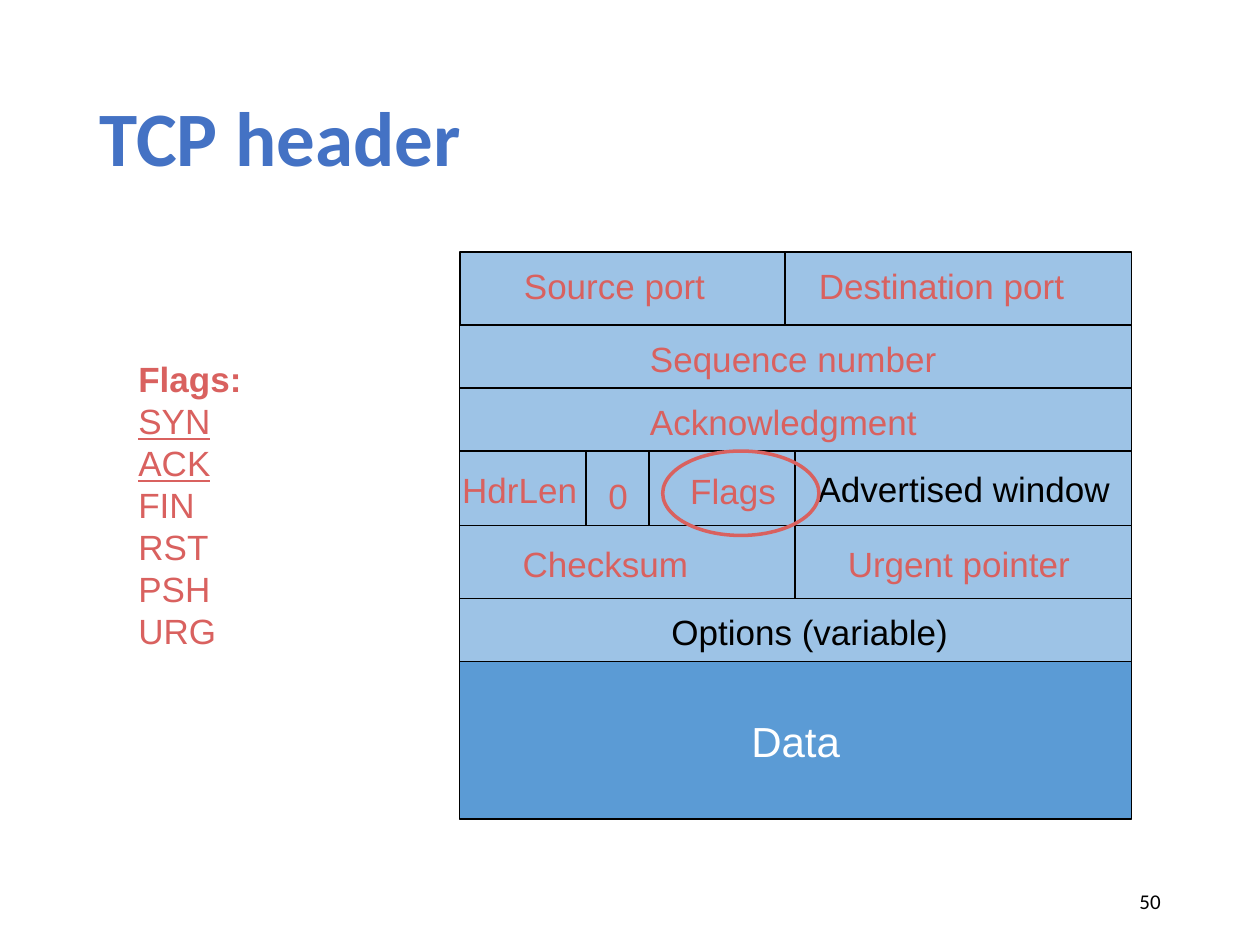
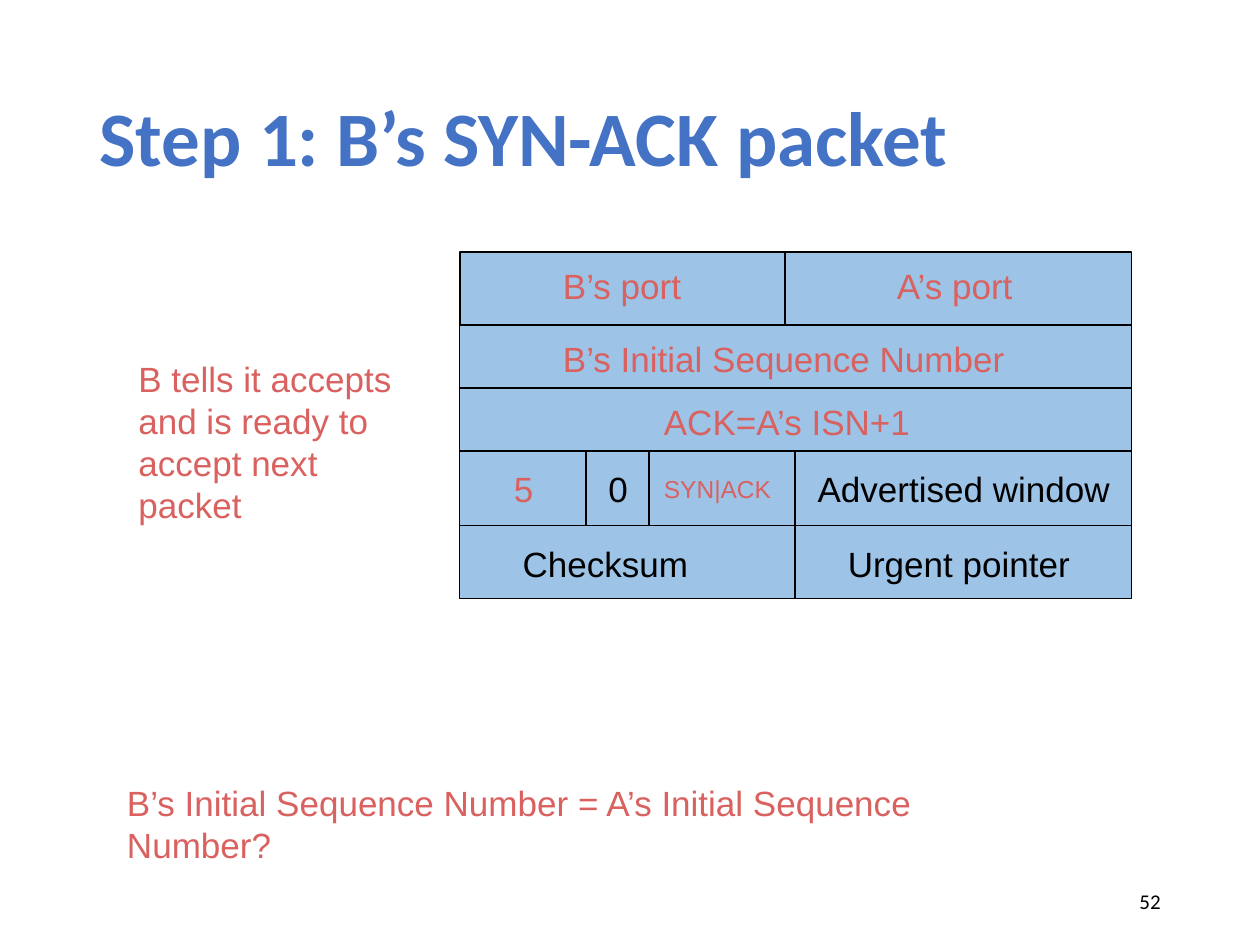
from pptx import Presentation
from pptx.dml.color import RGBColor
from pptx.enum import shapes, text
from pptx.oxml import parse_xml
from pptx.oxml.ns import nsdecls
from pptx.util import Inches, Pt

HUES = {"title": "4472C4", "cell": "9DC3E6", "data": "5B9BD5",
        "red": "D9615F", "black": "000000", "white": "FFFFFF"}

# Header grid: row edges, and where each row is split (None = full width)
LEFT, RIGHT = 3.65, 8.98
EDGES = [2, 2.58, 3.08, 3.58, 4.17, 4.75, 5.25]
SPLITS = [6.23, None, None, 6.31, 6.31, None]
TICKS = [4.65, 5.15]


def hue(name):
    return RGBColor.from_string(HUES[name])


def write(frame, words, size=20, color="red", face="Arial", bold=False,
          under=False, align="LEFT", gap=None):
    """Fill the frame's empty first paragraph, or add another one."""
    para = frame.paragraphs[0]
    if para.runs:
        para = frame.add_paragraph()
    para.alignment = getattr(text.PP_ALIGN, align)
    para.line_spacing = gap
    run = para.add_run()
    run.text = words
    font = run.font
    font.size, font.name, font.bold = Pt(size), face, bold
    font.underline = under
    font.color.rgb = hue(color)


def place(slide, x, y, w, h, middle=False):
    """Add an empty text box and return its frame."""
    frame = slide.shapes.add_textbox(*map(Inches, (x, y, w, h))).text_frame
    frame.word_wrap = True
    if middle:
        frame.vertical_anchor = text.MSO_ANCHOR.MIDDLE
    return frame


def label(slide, words, x, y, w, h=0.43, **fmt):
    write(place(slide, x, y, w, h), words, **fmt)


def shape(slide, kind, x, y, w, h, fill=None, line="black", width=0.75):
    item = slide.shapes.add_shape(kind, *map(Inches, (x, y, w, h)))
    item.shadow.inherit = False
    if fill:
        item.fill.solid()
        item.fill.fore_color.rgb = hue(fill)
    else:
        item.fill.background()
    item.line.color.rgb = hue(line)
    item.line.width = Pt(width)
    return item


def cell(slide, x, y, end, low, fill="cell"):
    return shape(slide, shapes.MSO_SHAPE.RECTANGLE, x, y, end - x, low - y, fill)


def tick(slide, x, top, low):
    line = slide.shapes.add_connector(
        shapes.MSO_CONNECTOR.STRAIGHT, *map(Inches, (x, top, x, low)))
    line.line.color.rgb = hue("black")
    line.line.width = Pt(0.75)
    line._element.spPr.append(parse_xml(f"<a:effectLst {nsdecls('a')}/>"))


def grid(slide, rows):
    """Draw the first rows of the header."""
    for top, low, split in list(zip(EDGES, EDGES[1:], SPLITS))[:rows]:
        cuts = [LEFT, split, RIGHT] if split else [LEFT, RIGHT]
        for x, end in zip(cuts, cuts[1:]):
            cell(slide, x, top, end, low)
    for x in TICKS:
        tick(slide, x, EDGES[3], EDGES[4])


def start(deck, name, number):
    """Add a slide with its title and page number."""
    slide = deck.slides.add_slide(deck.slide_layouts[5])
    title = slide.shapes.title
    title.left, title.top, title.width, title.height = map(
        Inches, (0.69, 0.4, 8.62, 1.45))
    frame = title.text_frame
    frame.auto_size = text.MSO_AUTO_SIZE.NONE
    frame.vertical_anchor = text.MSO_ANCHOR.MIDDLE
    write(frame, name, 44, "title", "Calibri", bold=True, gap=0.9)
    page = place(slide, 7.06, 6.95, 2.25, 0.4, middle=True)
    write(page, number, 12, "black", "Calibri", align="RIGHT")
    return slide


def tail(slide, color):
    """Label the fields that both headers have."""
    label(slide, "Advertised window", 6.39, 3.66, 2.65, color="black")
    label(slide, "Checksum", 4.05, 4.26, 1.7, color=color)
    label(slide, "Urgent pointer", 6.63, 4.26, 2.15, color=color)


def header(deck):
    slide = start(deck, "TCP header", "50")
    grid(slide, 6)
    data = cell(slide, LEFT, EDGES[-1], RIGHT, 6.5, "data").text_frame
    data.vertical_anchor = text.MSO_ANCHOR.MIDDLE
    write(data, "Data", 24, "white", align="CENTER")

    # Field names
    label(slide, "Source port", 4.06, 2.05, 1.8)
    label(slide, "Destination port", 6.4, 2.05, 2.3)
    label(slide, "Sequence number", 5.06, 2.63, 2.65)
    label(slide, "Acknowledgment", 5.06, 3.13, 2.5)
    label(slide, "HdrLen", 3.57, 3.67, 1.17)
    label(slide, "Flags", 5.38, 3.68, 1)
    label(slide, "0", 4.73, 3.72, 0.42)
    label(slide, "Options (variable)", 5.23, 4.8, 2.55, color="black")
    tail(slide, "red")

    # Flags: ring and list
    shape(slide, shapes.MSO_SHAPE.OVAL, 5.26, 3.58, 1.24, 0.67,
          line="red", width=2)
    flags = place(slide, 1, 2.79, 2.33, 2.79)
    write(flags, "Flags:", bold=True)
    for flag in ["SYN", "ACK", "FIN", "RST", "PSH", "URG"]:
        write(flags, flag, under=flag in ("SYN", "ACK"))


def reply(deck):
    slide = start(deck, "Step 1: B’s SYN-ACK packet", "52")
    grid(slide, 5)

    # Field values
    label(slide, "B’s port", 4.37, 2.05, 1.3)
    label(slide, "A’s port", 7.02, 2.05, 1.3)
    label(slide, "B’s Initial Sequence Number", 4.37, 2.63, 3.9)
    label(slide, "ACK=A’s ISN+1", 5.17, 3.13, 2.35)
    label(slide, "5", 3.57, 3.66, 1.17, align="CENTER")
    label(slide, "0", 4.73, 3.66, 0.42, color="black")
    label(slide, "SYN|ACK", 5.17, 3.71, 1.15, 0.34, size=14)
    tail(slide, "black")

    # Remarks
    write(place(slide, 1, 2.79, 2.33, 1.45),
          "B tells it accepts and is ready to accept next packet")
    write(place(slide, 0.91, 6.15, 7.5, 0.78),
          "B’s Initial Sequence Number = A’s Initial Sequence Number?")


def main():
    deck = Presentation()
    deck.slide_width, deck.slide_height = Inches(10), Inches(7.5)
    header(deck)
    reply(deck)
    deck.save("out.pptx")


if __name__ == "__main__":
    main()
